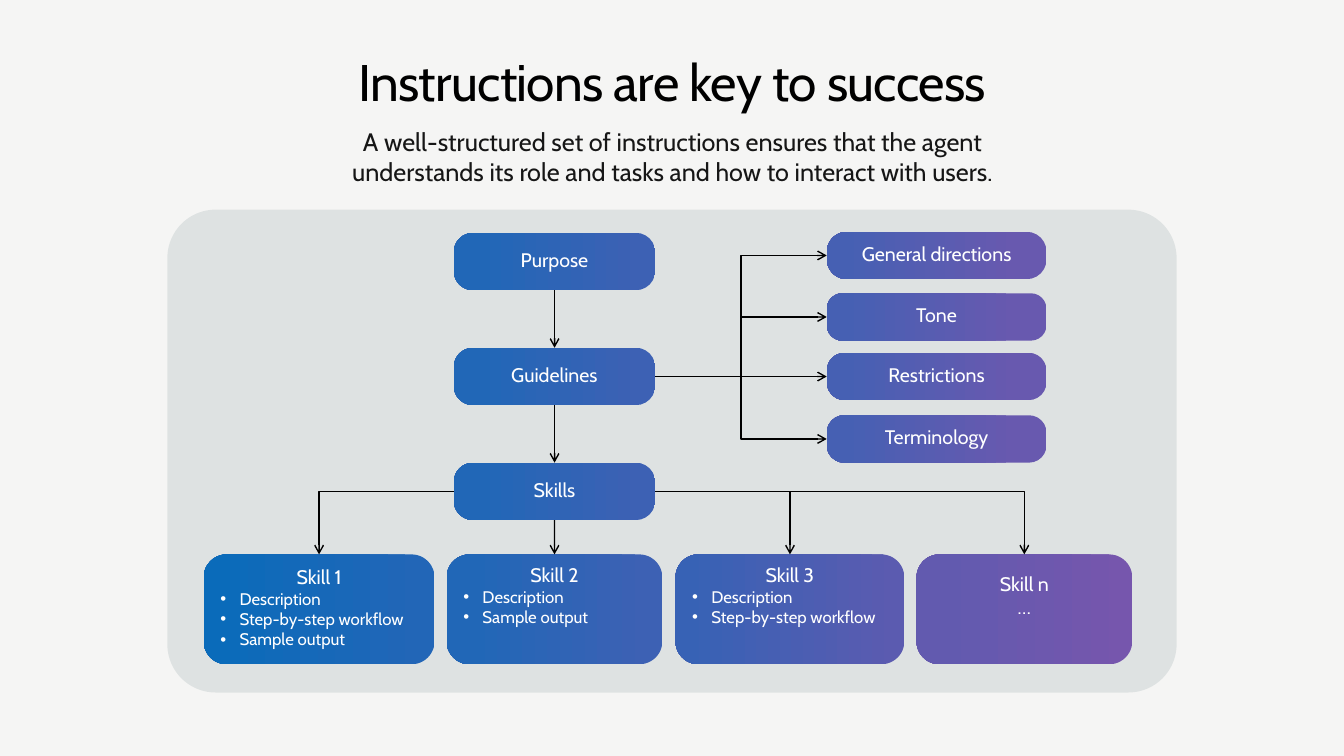
from dataclasses import dataclass

from lxml import etree
from pptx import Presentation
from pptx.dml.color import RGBColor
from pptx.enum import shapes, text
from pptx.oxml import ns
from pptx.util import Inches, Pt

FONT = "Cabin"
COLORS = {
    "background": "F5F5F4",
    "panel": "194449",
    "title": "000000",
    "subtitle": "161616",
    "box_text": "FFFFFF",
    "line": "000000",
}
TOP, LEFT, BOTTOM, RIGHT = range(4)
STRAIGHT, ELBOW = shapes.MSO_CONNECTOR.STRAIGHT, shapes.MSO_CONNECTOR.ELBOW


@dataclass(frozen=True)
class Gradient:
    """Right and left colours with their stop positions, measured from the right."""
    right: str
    right_pos: float
    left: str
    left_pos: float


BLUE = Gradient("3D61B4", 0.07, "2167B7", 0.88)
VIOLET = Gradient("6859AF", 0.14, "4660B3", 0.92)


@dataclass(frozen=True)
class Box:
    label: str
    left: float
    top: float
    width: float
    height: float
    radius: float
    gradient: Gradient
    bullets: tuple[str, ...] = ()
    note: str = ""
    side_inset: float = 0.15
    bottom_inset: float = 0.06


STAGES = [Box(label, 4.5, 2.31 + 1.14 * i, 2, 0.57, 0.34, BLUE)
          for i, label in enumerate(("Purpose", "Guidelines", "Skills"))]

TOPICS = [Box(label, 8.2, top, 2.18, 0.47, radius, VIOLET)
          for label, top, radius in (("General directions", 2.3, 0.42),
                                     ("Tone", 2.91, 0.33),
                                     ("Restrictions", 3.5, 0.38),
                                     ("Terminology", 4.12, 0.37))]

SKILLS = [Box(label, left, 5.5, width, 1.09, 0.21, gradient, bullets, note, 0.1, bottom)
          for label, left, width, gradient, bullets, note, bottom in (
              ("Skill 1", 2.02, 2.29, Gradient("2266B7", 0.05, "0A6BBA", 0.96),
               ("Description", "Step-by-step workflow", "Sample output"), "", 0.06),
              ("Skill 2", 4.43, 2.14, BLUE,
               ("Description", "Sample output"), "", 0.3),
              ("Skill 3", 6.7, 2.27, Gradient("5B5BB0", 0.04, "3762B5", 0.95),
               ("Description", "Step-by-step workflow"), "", 0.3),
              ("Skill n", 9.09, 2.14, Gradient("7656AD", 0.02, "625AAF", 0.88),
               (), "…", 0.3))]


def rgb(name: str) -> RGBColor:
    return RGBColor.from_string(COLORS[name])


def write(tf, content: str, *, size: float, color: str, bullet: bool = False,
          spacing: int = 0) -> None:
    """Fill the first paragraph if it is still empty, otherwise add one."""
    p = tf.paragraphs[0]
    if p.runs:
        p = tf.add_paragraph()
    p.alignment = text.PP_ALIGN.LEFT if bullet else text.PP_ALIGN.CENTER
    if bullet:
        p_pr = p._p.get_or_add_pPr()
        p_pr.set("marL", str(Inches(0.19)))
        p_pr.set("indent", str(-Inches(0.19)))
        etree.SubElement(p_pr, ns.qn("a:buFont"), typeface="Arial")
        etree.SubElement(p_pr, ns.qn("a:buChar"), char="•")
    r = p.add_run()
    r.text = content
    r.font.name = FONT
    r.font.size = Pt(size)
    r.font.color.rgb = rgb(color)
    if spacing:
        r._r.get_or_add_rPr().set("spc", str(spacing))


def set_insets(tf, left: float, top: float, right: float, bottom: float) -> None:
    tf.margin_left, tf.margin_top = Inches(left), Inches(top)
    tf.margin_right, tf.margin_bottom = Inches(right), Inches(bottom)


def add_heading(s, left: float, top: float, width: float, height: float):
    tf = s.shapes.add_textbox(Inches(left), Inches(top),
                              Inches(width), Inches(height)).text_frame
    tf.word_wrap = True
    return tf


def add_rounded(s, left: float, top: float, width: float, height: float, radius: float):
    sp = s.shapes.add_shape(shapes.MSO_SHAPE.ROUNDED_RECTANGLE, Inches(left),
                            Inches(top), Inches(width), Inches(height))
    sp.adjustments[0] = radius
    sp.shadow.inherit = False
    sp.line.fill.background()
    return sp


def add_panel(s) -> None:
    sp = add_rounded(s, 1.66, 2.08, 10.01, 4.79, 0.1)
    sp.fill.solid()
    sp.fill.fore_color.rgb = rgb("panel")
    color = sp._element.spPr.find(".//" + ns.qn("a:srgbClr"))
    etree.SubElement(color, ns.qn("a:alpha"), val="10000")


def add_box(s, box: Box):
    sp = add_rounded(s, box.left, box.top, box.width, box.height, box.radius)
    g = box.gradient
    sp.fill.gradient()
    sp.fill.gradient_angle = 180
    for stop, color, position in zip(sp.fill.gradient_stops, (g.right, g.left),
                                     (g.right_pos, g.left_pos)):
        stop.color.rgb = RGBColor.from_string(color)
        stop.position = position
    tf = sp.text_frame
    tf.word_wrap = True
    tf.vertical_anchor = text.MSO_ANCHOR.MIDDLE
    set_insets(tf, box.side_inset, 0.02, box.side_inset, box.bottom_inset)
    write(tf, box.label, size=14, color="box_text")
    for bullet in box.bullets:
        write(tf, bullet, size=12, color="box_text", bullet=True)
    if box.note:
        write(tf, box.note, size=14, color="box_text")
    return sp


def add_arrow(s, start, start_side: int, end, end_side: int, kind=STRAIGHT) -> None:
    """Join two boxes; an elbow that ends on a top side gets a single bend."""
    cxn = s.shapes.add_connector(kind, 0, 0, 0, 0)
    cxn.begin_connect(start, start_side)
    cxn.end_connect(end, end_side)
    cxn.line.color.rgb = rgb("line")
    cxn.line.width = Pt(1)
    sp_pr = cxn._element.spPr
    if kind == ELBOW and end_side == TOP:
        sp_pr.find(ns.qn("a:prstGeom")).set("prst", "bentConnector2")
    etree.SubElement(sp_pr.find(ns.qn("a:ln")), ns.qn("a:tailEnd"), type="arrow")
    etree.SubElement(sp_pr, ns.qn("a:effectLst"))


def main() -> None:
    prs = Presentation()
    prs.slide_width, prs.slide_height = Inches(13.33), Inches(7.5)
    s = prs.slides.add_slide(prs.slide_layouts[6])
    s.background.fill.solid()
    s.background.fill.fore_color.rgb = rgb("background")

    title = add_heading(s, 0.64, 0.5, 12.05, 0.61)
    set_insets(title, 0, 0, 0, 0)
    write(title, "Instructions are key to success", size=36.7, color="title", spacing=-50)
    subtitle = add_heading(s, 2.89, 1.2, 7.56, 0.71)
    write(subtitle, "A well-structured set of instructions ensures that the agent "
          "understands its role and tasks and how to interact with users.",
          size=18, color="subtitle")

    add_panel(s)
    purpose, guidelines, skills = (add_box(s, box) for box in STAGES)
    topics = [add_box(s, box) for box in TOPICS]
    skill_1, skill_2, skill_3, skill_n = (add_box(s, box) for box in SKILLS)

    for start, end in ((purpose, guidelines), (guidelines, skills), (skills, skill_2)):
        add_arrow(s, start, BOTTOM, end, TOP)
    for topic in topics:
        add_arrow(s, guidelines, RIGHT, topic, LEFT, ELBOW)
    for side, skill in ((LEFT, skill_1), (RIGHT, skill_3), (RIGHT, skill_n)):
        add_arrow(s, skills, side, skill, TOP, ELBOW)

    prs.save("out.pptx")


if __name__ == "__main__":
    main()
